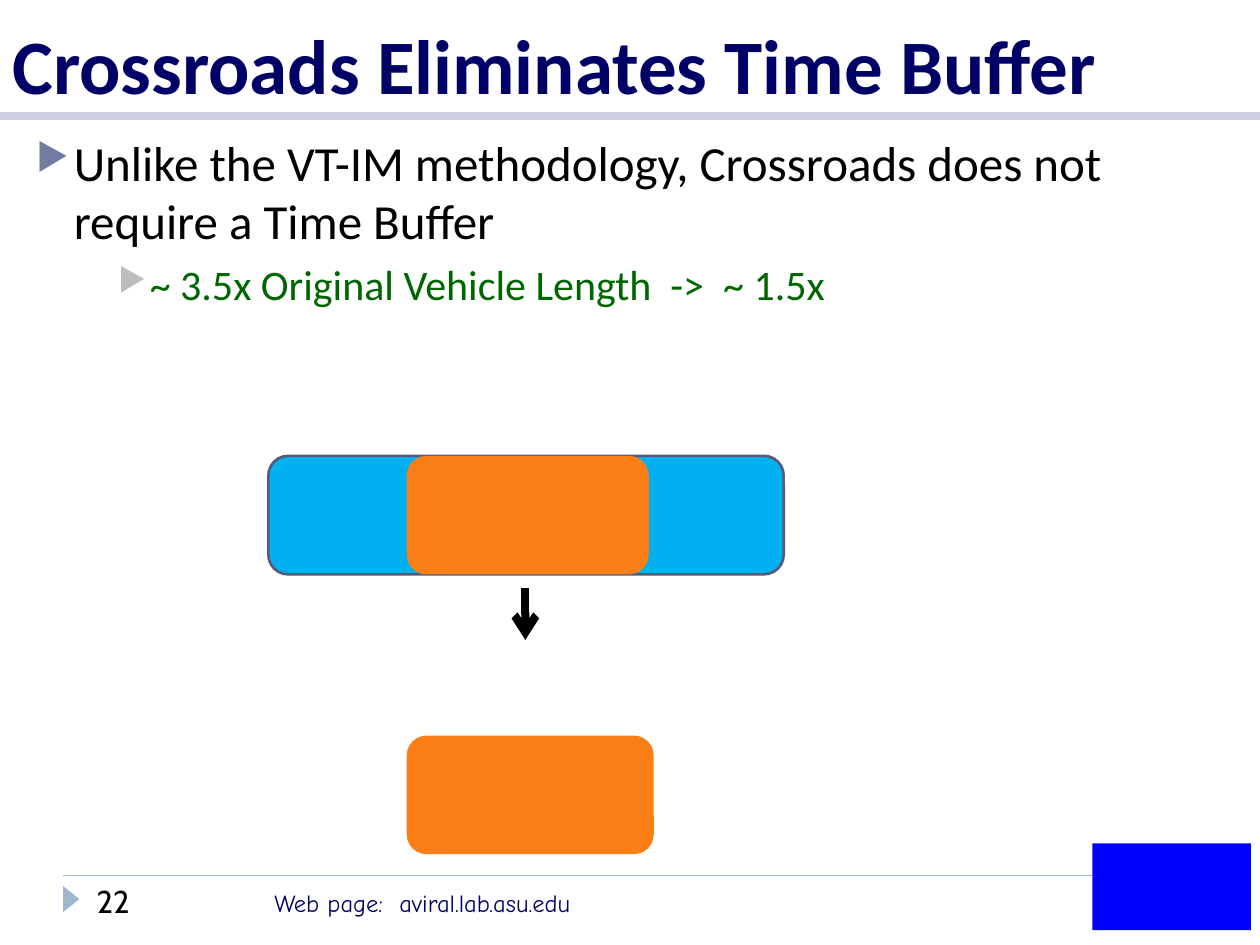
import pptx
import pptx.dml.color
import pptx.enum.shapes
import pptx.enum.text
import pptx.util
from lxml import etree
from pptx.oxml.ns import qn

Cm = pptx.util.Cm
Pt = pptx.util.Pt
SHAPES = pptx.enum.shapes.MSO_SHAPE
ANCHORS = pptx.enum.text.MSO_ANCHOR

NAVY = "000066"
STEEL = "9FB8CD"
ORANGE = "FB7E17"


def rgb(color):
    return pptx.dml.color.RGBColor.from_string(color)


def add_run(paragraph, text, size, color, font="Calibri", bold=False):
    run = paragraph.add_run()
    run.text = text
    run.font.name = font
    run.font.size = Pt(size)
    run.font.bold = bold
    run.font.color.rgb = rgb(color)


def add_frame(slide, left, top, width, height, anchor=ANCHORS.TOP):
    box = slide.shapes.add_textbox(Cm(left), Cm(top), Cm(width), Cm(height))
    frame = box.text_frame
    frame.word_wrap = True
    frame.vertical_anchor = anchor
    return frame


def add_label(slide, place, text, size, color, anchor=ANCHORS.TOP, **style):
    frame = add_frame(slide, *place, anchor)
    add_run(frame.paragraphs[0], text, size, color, **style)


def set_bullet(paragraph, color, left, hanging):
    properties = paragraph._p.get_or_add_pPr()
    properties.set("marL", str(Cm(left)))
    properties.set("indent", str(-Cm(hanging)))
    bullet_color = etree.SubElement(properties, qn("a:buClr"))
    etree.SubElement(bullet_color, qn("a:srgbClr"), val=color)
    etree.SubElement(properties, qn("a:buSzPct"), val="76000")
    etree.SubElement(properties, qn("a:buChar"), char="▶")


def add_block(slide, kind, left, top, width, height, fill, outline=None):
    block = slide.shapes.add_shape(kind, Cm(left), Cm(top), Cm(width), Cm(height))
    block.shadow.inherit = False
    block.fill.solid()
    block.fill.fore_color.rgb = rgb(fill)
    if outline:
        block.line.color.rgb = rgb(outline)
        block.line.width = Pt(1.5)
    else:
        block.line.fill.background()
    return block


def add_line(slide, start, end, color, width, arrow=False):
    line = slide.shapes.add_connector(
        pptx.enum.shapes.MSO_CONNECTOR.STRAIGHT,
        Cm(start[0]), Cm(start[1]), Cm(end[0]), Cm(end[1]))
    line.line.color.rgb = rgb(color)
    line.line.width = Pt(width)
    if arrow:
        etree.SubElement(line.line._get_or_add_ln(), qn("a:tailEnd"), type="arrow")
    etree.SubElement(line._element.spPr, qn("a:effectLst"))


def add_points(slide):
    frame = add_frame(slide, 0.48, 2.54, 24.31, 15.01)
    claim = frame.paragraphs[0]
    set_bullet(claim, "727CA3", 0.76, 0.76)
    add_run(claim, "Unlike the VT-IM methodology, Crossroads does not "
            "require a Time Buffer", 28, "000000")

    saving = frame.add_paragraph()
    saving.level = 1
    set_bullet(saving, "BDBDBD", 2.29, 0.64)
    saving.space_before = Pt(5)
    add_run(saving, "~ 3.5x Original Vehicle Length  ->  ~ 1.5x", 24, "006600")


def add_buffer_comparison(slide):
    vehicle_left, block_height = 8.2, 2.39
    # Vehicle with its time buffer
    add_block(slide, SHAPES.ROUNDED_RECTANGLE, 5.41, 9.19, 10.39, block_height,
              "00B0F0", "545C79")
    add_block(slide, SHAPES.ROUNDED_RECTANGLE, vehicle_left, 9.19, 4.88,
              block_height, ORANGE)
    # Vehicle without it
    add_block(slide, SHAPES.ROUNDED_RECTANGLE, vehicle_left, 14.83, 4.98,
              block_height, ORANGE)
    add_line(slide, (10.59, 11.86), (10.59, 12.9), "000000", 4.5, arrow=True)


def add_footer(slide):
    add_line(slide, (1.27, 17.65), (22.02, 17.65), STEEL, 1)
    marker = add_block(slide, SHAPES.ISOSCELES_TRIANGLE, 1.17, 17.96, 0.53, 0.33, STEEL)
    marker.rotation = 90
    add_label(slide, (1.7, 17.65, 3.58, 1.02), "22", 18, "000000", font="Cabin")
    add_label(slide, (5.28, 17.78, 9.53, 0.86), "Web page:  aviral.lab.asu.edu",
              14, NAVY, font="Comic Neue")
    # Plain block in the logo position
    add_block(slide, SHAPES.RECTANGLE, 22.02, 17, 3.2, 1.75, "0000FF")


def main():
    deck = pptx.Presentation()
    deck.slide_width, deck.slide_height = Cm(25.4), Cm(19.05)
    slide = deck.slides.add_slide(deck.slide_layouts[6])

    # Title and rule
    add_line(slide, (0, 2.34), (25.4, 2.34), "CCD0E0", 5)
    add_label(slide, (0, 0, 25.4, 2.34), "Crossroads Eliminates Time Buffer",
              44, NAVY, ANCHORS.BOTTOM, bold=True)

    add_points(slide)
    add_buffer_comparison(slide)
    add_footer(slide)
    deck.save("out.pptx")


if __name__ == "__main__":
    main()
